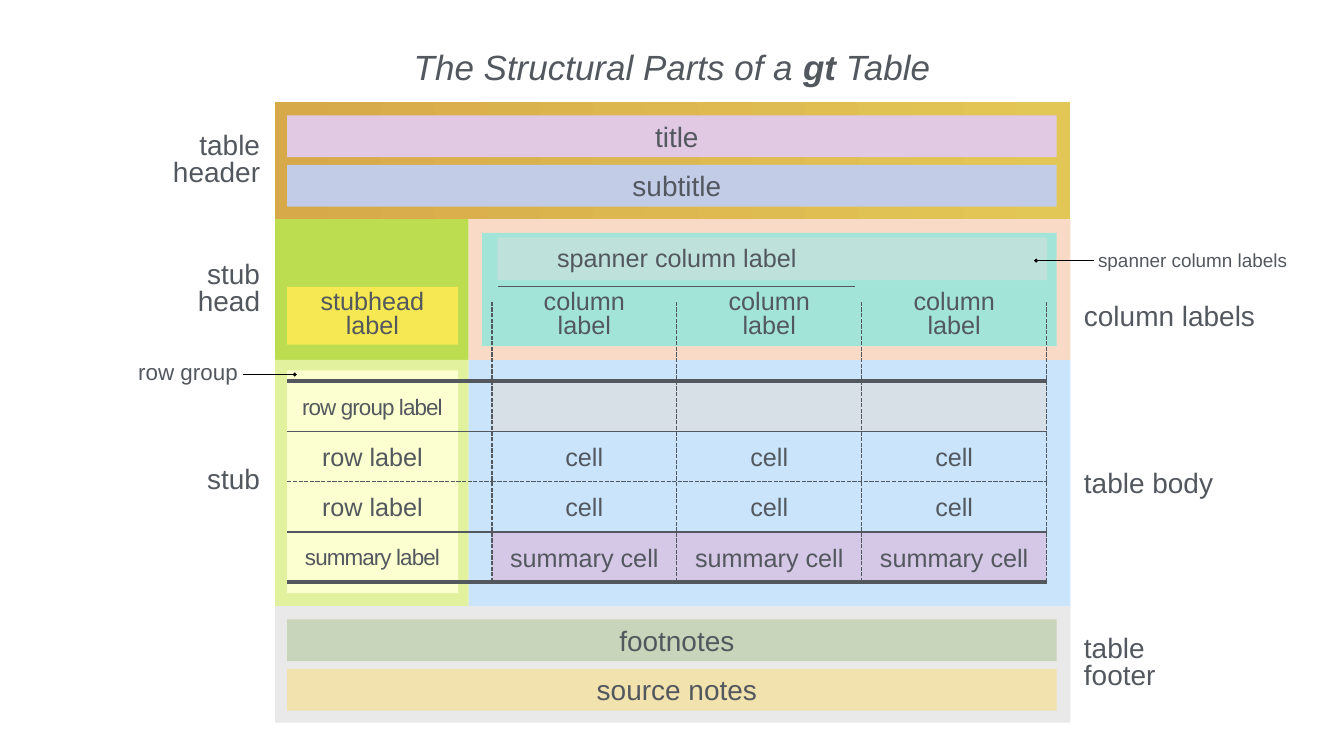
from lxml import etree
from pptx import Presentation
from pptx.dml.color import RGBColor
from pptx.enum.dml import MSO_LINE
from pptx.enum.shapes import MSO_CONNECTOR, MSO_SHAPE
from pptx.enum.text import MSO_ANCHOR, PP_ALIGN
from pptx.oxml.ns import qn
from pptx.util import Inches, Pt

RECT, STRAIGHT = MSO_SHAPE.RECTANGLE, MSO_CONNECTOR.STRAIGHT
LEFT, CENTER, RIGHT = PP_ALIGN.LEFT, PP_ALIGN.CENTER, PP_ALIGN.RIGHT
MIDDLE, DASH = MSO_ANCHOR.MIDDLE, MSO_LINE.SQUARE_DOT

COLORS = {
    "ink": "53585F", "pointer": "000000",
    "header_from": "D7A949", "header_to": "E3C756", "title": "E1C9E4", "subtitle": "C3CCE7",
    "stub_head": "BDDD51", "stubhead_label": "F5E852",
    "labels": "F9DAC6", "labels_inner": "A2E5D8", "gray": "DCDEE0",
    "stub": "E1F19D", "stub_inner": "FCFFCF", "body": "CAE4FC", "summary": "DABFE0",
    "footer": "E9E9E9", "footnotes": "C9D5BA", "source_notes": "F1E2AE",
}

# Content
HEADING = [("The Structural Parts of a ", False), ("gt", True), (" Table", False)]
HEADER_BARS = [("title", "title"), ("subtitle", "subtitle")]
FOOTER_BARS = [("footnotes", "footnotes"), ("source notes", "source_notes")]
BODY_ROWS = [  # stub label, size, letter spacing, cell text
    ("row group label", 32, -1.3, None),
    ("row label", 36, 0, "cell"),
    ("row label", 36, 0, "cell"),
    ("summary label", 32, -1.3, "summary cell"),
]
LEFT_LABELS = [(["table", "header"], 3.19), (["stub", "head"], 5.75), (["stub"], 9.56)]
RIGHT_LABELS = [(["column labels"], 6.26), (["table body"], 9.56), (["table", "footer"], 13.18)]

# Grid: outer edges, band edges, data columns and body rows
SLIDE_W, SLIDE_H = 26.67, 15
EDGE_L, STUB_R, EDGE_R = 5.46, 9.3, 21.24
HEADER_Y, LABELS_Y, BODY_Y, FOOTER_Y, BOTTOM_Y = 2.02, 4.35, 7.14, 12.02, 14.34
INNER_L, INNER_R, STUB_INNER_R = 5.7, 20.97, 9.09
CELL_X, CELL_R, COLUMNS = 9.76, 20.77, 3
ROW_Y, ROW_END = 7.56, 11.55
BAR_H, BAR_STEP, BAR_INSET = 0.83, 0.98, 0.27
HEADING_W = 14
CELL_W = (CELL_R - CELL_X) / COLUMNS
ROW_H = (ROW_END - ROW_Y) / len(BODY_ROWS)
TABLE_CENTER, STUB_CENTER = 13.43, 7.39
COLUMN_CENTERS = [CELL_X + (i + 0.5) * CELL_W for i in range(COLUMNS)]
ROW_EDGES = [ROW_Y + i * ROW_H for i in range(len(BODY_ROWS) + 1)]

prs = Presentation()
prs.slide_width, prs.slide_height = Inches(SLIDE_W), Inches(SLIDE_H)
slide = prs.slides.add_slide(prs.slide_layouts[6])


def rgb(name):
    return RGBColor.from_string(COLORS[name])


def block(color, left, top, right, bottom, opacity=100, color_to=None):
    shape = slide.shapes.add_shape(RECT, Inches(left), Inches(top),
                                   Inches(right - left), Inches(bottom - top))
    shape.shadow.inherit = False
    shape.line.fill.background()
    if color_to:
        shape.fill.gradient()
        shape.fill.gradient_angle = 0
        for stop, name in zip(shape.fill.gradient_stops, (color, color_to)):
            stop.color.rgb = rgb(name)
        return
    shape.fill.solid()
    shape.fill.fore_color.rgb = rgb(color)
    if opacity < 100:
        tint = next(shape.fill._xPr.iter(qn("a:srgbClr")))
        etree.SubElement(tint, qn("a:alpha")).set("val", str(opacity * 1000))


def text(lines, left, center_y, width, size=36, align=CENTER, spacing=None, tracking=0,
         italic=False):
    """Each line is a string or a list of (text, bold) runs."""
    height = len(lines) * size / 60 + 0.12
    box = slide.shapes.add_textbox(Inches(left), Inches(center_y - height / 2),
                                   Inches(width), Inches(height))
    frame = box.text_frame
    frame.word_wrap, frame.vertical_anchor = True, MIDDLE
    frame.margin_left = frame.margin_right = Inches(0.06)
    frame.margin_top = frame.margin_bottom = Inches(0.06)
    for i, line in enumerate(lines):
        paragraph = frame.add_paragraph() if i else frame.paragraphs[0]
        paragraph.alignment = align
        if spacing:
            paragraph.line_spacing = spacing
        for words, bold in ([(line, False)] if isinstance(line, str) else line):
            run = paragraph.add_run()
            run.text = words
            font = run.font
            font.name, font.size, font.bold, font.italic = "Arial", Pt(size), bold, italic
            font.color.rgb = rgb("ink")
            if tracking:
                run._r.get_or_add_rPr().set("spc", str(round(tracking * 100)))


def rule(x1, y1, x2, y2, weight=2, dashed=False, color="ink", end_diamond=False):
    line = slide.shapes.add_connector(STRAIGHT, Inches(x1), Inches(y1), Inches(x2), Inches(y2))
    line.line.width = Pt(weight)
    line.line.color.rgb = rgb(color)
    if dashed:
        line.line.dash_style = DASH
    if end_diamond:
        etree.SubElement(line.line._get_or_add_ln(), qn("a:tailEnd")).set("type", "diamond")
    etree.SubElement(line._element.spPr, qn("a:effectLst"))


def bars(items, band_top):
    for i, (words, color) in enumerate(items):
        top = band_top + BAR_INSET + i * BAR_STEP
        block(color, INNER_L, top, INNER_R, top + BAR_H)
        text([words], TABLE_CENTER - 1.96, top + BAR_H / 2, 3.92, size=40)


# Heading, table header and table footer
text([HEADING], (SLIDE_W - HEADING_W) / 2, 1.32, HEADING_W, size=50, italic=True)
block("header_from", EDGE_L, HEADER_Y, EDGE_R, LABELS_Y, color_to="header_to")
bars(HEADER_BARS, HEADER_Y)
block("footer", EDGE_L, FOOTER_Y, EDGE_R, BOTTOM_Y)
bars(FOOTER_BARS, FOOTER_Y)

# Stub head, stub, column labels and body areas
block("stub_head", EDGE_L, LABELS_Y, STUB_R, BODY_Y)
block("stubhead_label", INNER_L, 5.69, STUB_INNER_R, 6.84)
block("stub", EDGE_L, BODY_Y, STUB_R, FOOTER_Y)
block("stub_inner", INNER_L, 7.35, STUB_INNER_R, 11.77)
block("body", STUB_R, BODY_Y, EDGE_R, FOOTER_Y)
block("gray", CELL_X, ROW_EDGES[0], CELL_R, ROW_EDGES[1], opacity=75)
block("summary", CELL_X, ROW_EDGES[-2], CELL_R, ROW_EDGES[-1], opacity=75)
block("labels", STUB_R, LABELS_Y, EDGE_R, BODY_Y)
block("labels_inner", 9.56, 4.62, INNER_R, 6.87)
block("gray", 9.87, 4.71, 20.78, 5.56, opacity=50)

# Column and row rules
for i in range(COLUMNS + 1):
    x = CELL_X + i * CELL_W
    rule(x, ROW_END, x, 5.99, dashed=True)
for i, y in enumerate(ROW_EDGES):
    weight = 5 if i in (0, len(BODY_ROWS)) else 2
    for x1, x2 in ((INNER_L, CELL_X), (CELL_X, CELL_R)):
        rule(x1, y, x2, y, weight=weight, dashed=i == 2)
rule(9.89, 5.69, 16.97, 5.69)

# Column labels
text(["stubhead label"], STUB_CENTER - 1.53, 6.26, 3.06, spacing=0.8)
text(["spanner column label"], CELL_X, 5.16, 2 * CELL_W, spacing=0.8)
for center in COLUMN_CENTERS:
    text(["column", "label"], center - 1.03, 6.26, 2.06, spacing=0.8)

# Body rows
for (label, size, tracking, cell), top in zip(BODY_ROWS, ROW_EDGES):
    middle = top + ROW_H / 2
    text([label], STUB_CENTER - 1.96, middle, 3.92, size=size, tracking=tracking)
    if cell:
        for center in COLUMN_CENTERS:
            text([cell], center - CELL_W / 2, middle, CELL_W)

# Side labels and pointers
for lines, y in LEFT_LABELS:
    text(lines, 3.12, y, 2.1, size=40, align=RIGHT, spacing=0.8)
for lines, y in RIGHT_LABELS:
    text(lines, 21.45, y, 3.93, size=40, align=LEFT, spacing=0.8 if len(lines) > 1 else None)
text(["spanner column labels"], 21.73, 5.16, 4.2, size=27, align=LEFT)
rule(21.71, 5.17, 20.56, 5.17, color="pointer", end_diamond=True)
text(["row group"], 2.3, 7.42, 2.48, size=32, align=RIGHT, spacing=0.8)
rule(4.82, 7.43, 5.85, 7.43, color="pointer", end_diamond=True)

prs.save("out.pptx")
